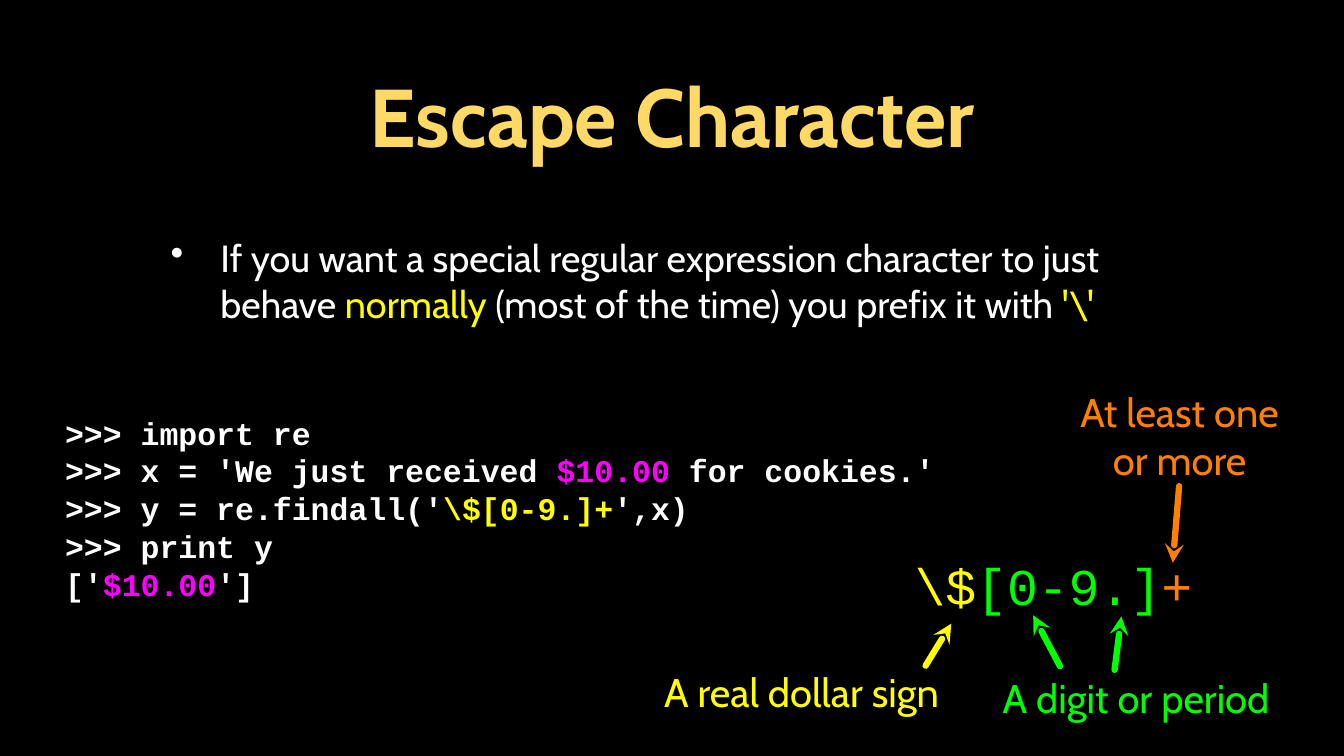
from lxml.etree import SubElement
from pptx import Presentation
from pptx.dml.color import RGBColor
from pptx.enum.shapes import MSO_CONNECTOR
from pptx.enum.text import MSO_ANCHOR, PP_ALIGN
from pptx.oxml.ns import qn
from pptx.util import Pt

COLORS = {
    "background": "000000",
    "title": "FFD966",
    "white": "FFFFFF",
    "yellow": "FFFF00",
    "magenta": "FF00FF",
    "green": "00FF00",
    "orange": "FF7F00",
}
SANS, MONO = "Cabin", "Courier New"
CODE = [
    [(">>> import re", "white")],
    [(">>> x = 'We just received ", "white"), ("$10.00", "magenta"), (" for cookies.'", "white")],
    [(">>> y = re.findall('", "white"), (r"\$[0-9.]+", "yellow"), ("',x)", "white")],
    [(">>> print y", "white")],
    [("['", "white"), ("$10.00", "magenta"), ("']", "white")],
]
BULLET = [
    ("If you want a special regular expression character to just behave ", "white"),
    ("normally", "yellow"),
    (" (most of the time) you prefix it with ", "white"),
    (r"'\'", "yellow"),
]
PATTERN = [(r"\$", "yellow"), ("[0-9.]", "green"), ("+", "orange")]
LABELS = [
    ("A digit or period", "green", (77, 113, 268, 52)),
    ("A real dollar sign", "yellow", (-242, 108, 269, 52)),
    ("At least one or more", "orange", (139, -158, 227, 96)),
]
ARROWS = [
    ("yellow", (35, 69), (10.5, 109)),
    ("green", (113, 61), (138.5, 109.5)),
    ("green", (197, 62), (190.5, 113)),
    ("orange", (246, 11), (252, -62)),
]


def rgb(name):
    """Return the named colour."""
    return RGBColor.from_string(COLORS[name])


def add_text(s, box, lines, font, size, bold=False, align=PP_ALIGN.LEFT, inset=0):
    """Add a middle-anchored text box of coloured runs and return its paragraphs."""
    tf = s.shapes.add_textbox(*map(Pt, box)).text_frame
    tf.word_wrap = True
    tf.vertical_anchor = MSO_ANCHOR.MIDDLE
    tf.margin_left = tf.margin_right = tf.margin_top = tf.margin_bottom = Pt(inset)
    for i, line in enumerate(lines):
        p = tf.add_paragraph() if i else tf.paragraphs[0]
        p.alignment = align
        p.font.name, p.font.size, p.font.bold = font, Pt(size), bold
        for text, color in line:
            r = p.add_run()
            r.text = text
            r.font.color.rgb = rgb(color)
    return tf.paragraphs


def add_arrow(s, color, tip, tail):
    """Draw a thick round-capped line with a stealth head at its tip."""
    c = s.shapes.add_connector(MSO_CONNECTOR.STRAIGHT, *map(Pt, tip + tail))
    c.line.width = Pt(6)
    c.line.color.rgb = rgb(color)
    ln = c.line._get_or_add_ln()
    ln.set("cap", "rnd")
    SubElement(ln, qn("a:headEnd"), type="stealth")
    SubElement(c._element.spPr, qn("a:effectLst"))


def add_title(s, box):
    """Place the slide title."""
    add_text(s, box, [[("Escape Character", "title")]], SANS, 78, True, PP_ALIGN.CENTER, 4)


def add_bullet(s, box):
    """Place the bulleted explanation."""
    p = add_text(s, box, [BULLET], SANS, 36, inset=4)[0]
    pPr = p._p.get_or_add_pPr()
    pPr.set("marL", str(Pt(87)))
    pPr.set("indent", str(Pt(-47.5)))
    bu_clr = pPr.makeelement(qn("a:buClr"))
    SubElement(bu_clr, qn("a:srgbClr"), val=COLORS["white"])
    bu_char = pPr.makeelement(qn("a:buChar"), char="•")
    pPr.insert(0, bu_clr)
    pPr.insert(1, bu_char)


def add_code(s, box):
    """Place the interpreter session."""
    for p in add_text(s, box, CODE, MONO, 30, True):
        p.line_spacing = Pt(36)


def add_pattern(s, box):
    """Place the pattern with its labels and arrows around it."""
    x, y = box[:2]
    add_text(s, box, [PATTERN], MONO, 49)
    for text, color, (dx, dy, w, h) in LABELS:
        add_text(s, (x + dx, y + dy, w, h), [[(text, color)]], SANS, 38, align=PP_ALIGN.CENTER)
    for color, tip, tail in ARROWS:
        add_arrow(s, color, (x + tip[0], y + tip[1]), (x + tail[0], y + tail[1]))


def main():
    """Build and save the slide."""
    prs = Presentation()
    prs.slide_width, prs.slide_height = Pt(1280), Pt(720)
    s = prs.slides.add_slide(prs.slide_layouts[6])
    s.background.fill.solid()
    s.background.fill.fore_color.rgb = rgb("background")
    add_title(s, (119, 19, 1042, 180))
    add_bullet(s, (119, 204, 1042, 126))
    add_code(s, (62, 369, 852, 230))
    add_pattern(s, (871, 525, 269, 64))
    prs.save("out.pptx")


if __name__ == "__main__":
    main()
